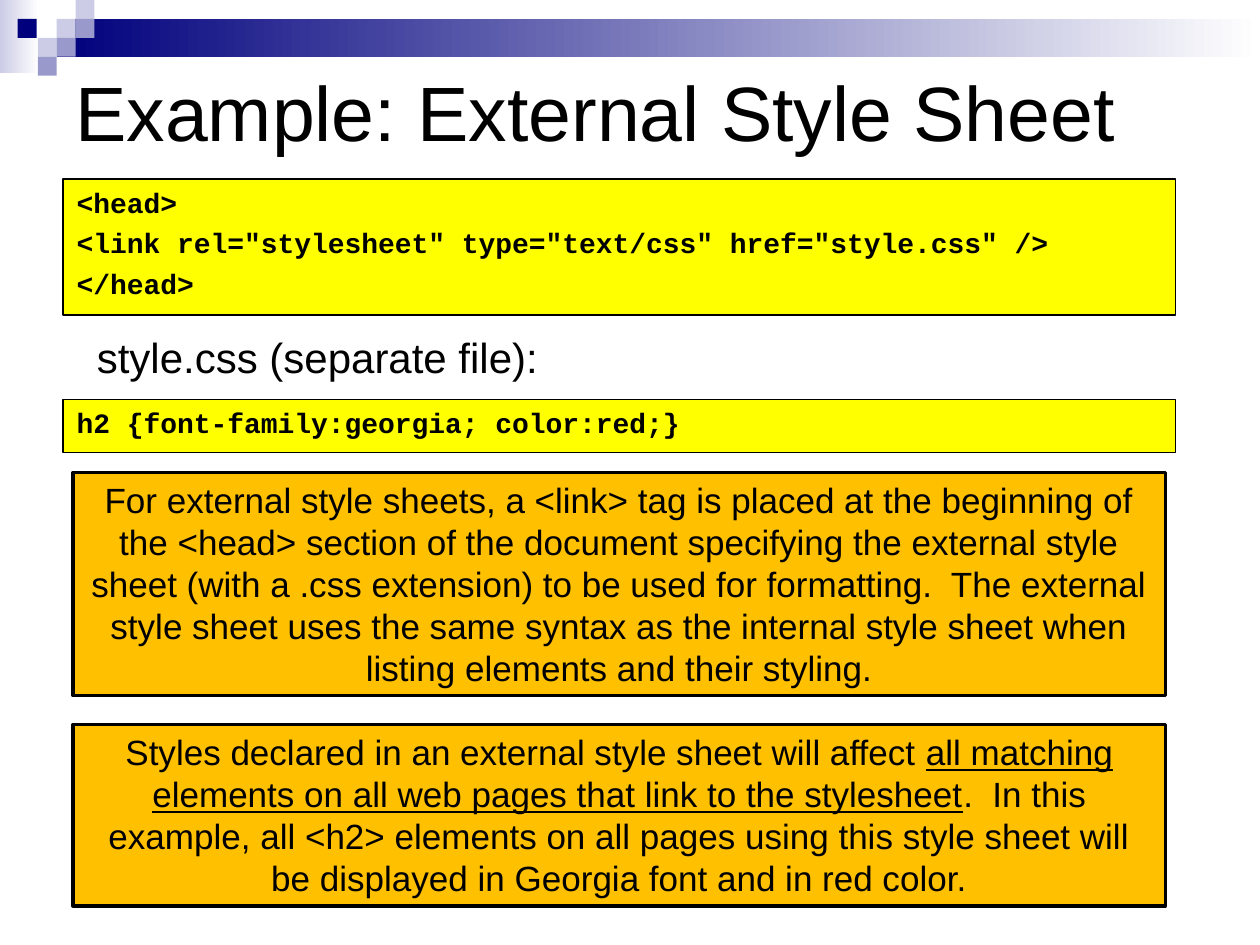
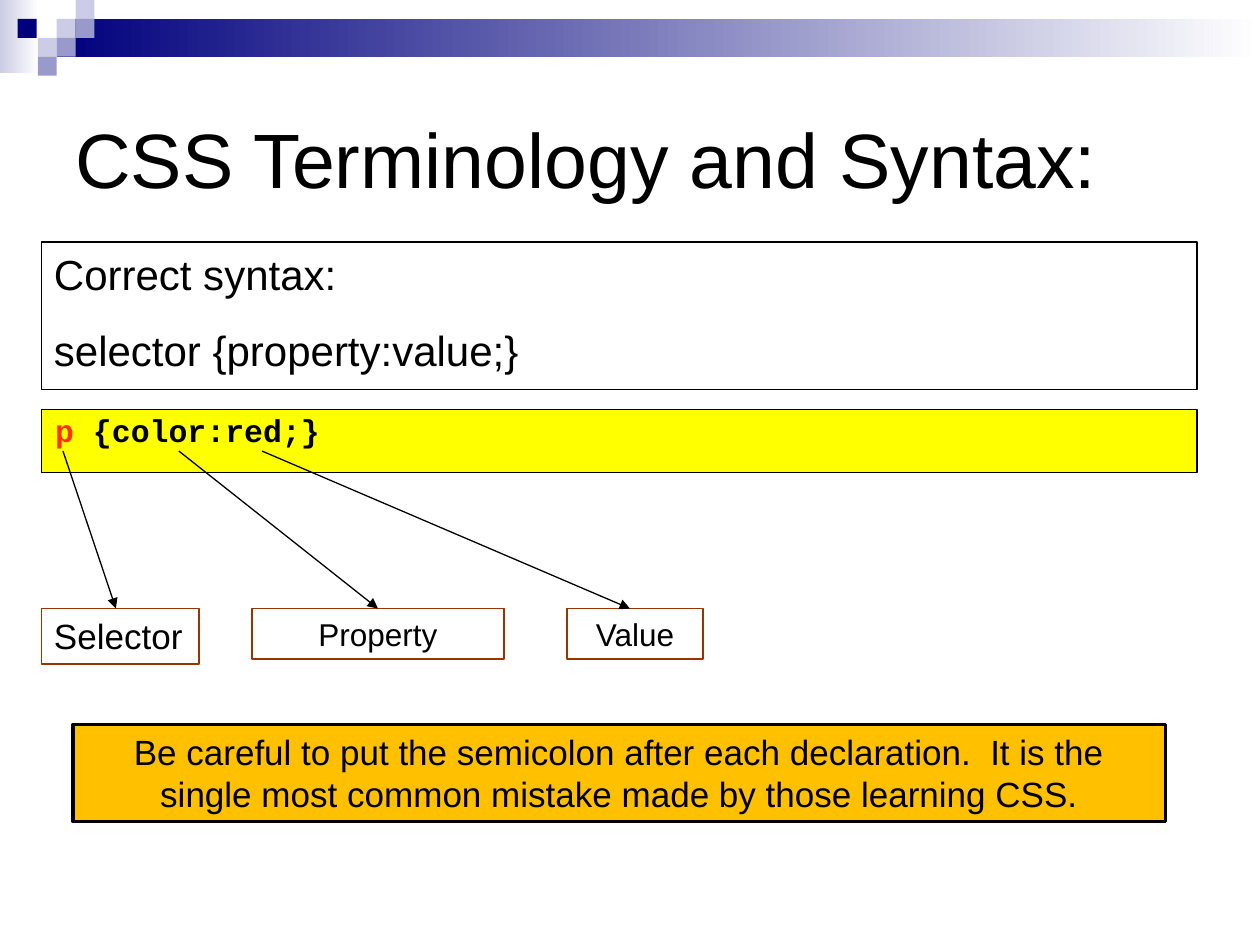
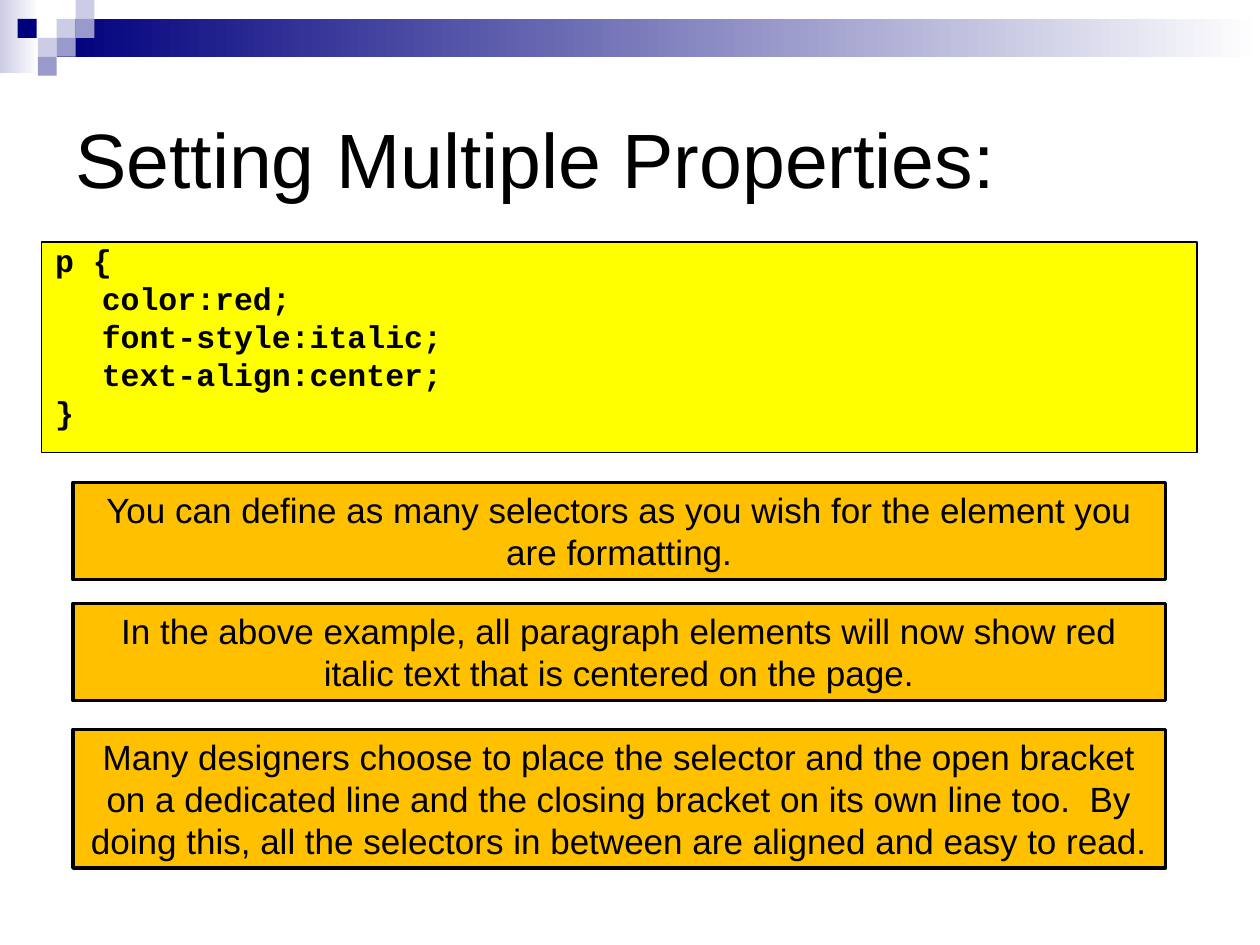
from lxml import etree
from pptx import Presentation
from pptx.dml.color import RGBColor
from pptx.enum.shapes import MSO_CONNECTOR, MSO_SHAPE
from pptx.enum.text import MSO_ANCHOR, MSO_AUTO_SIZE, PP_ALIGN
from pptx.oxml.ns import qn
from pptx.util import Inches, Pt

RECTANGLE = MSO_SHAPE.RECTANGLE
STRAIGHT = MSO_CONNECTOR.STRAIGHT
TOP, MIDDLE = MSO_ANCHOR.TOP, MSO_ANCHOR.MIDDLE
LEFT, CENTER = PP_ALIGN.LEFT, PP_ALIGN.CENTER
GROW = MSO_AUTO_SIZE.SHAPE_TO_FIT_TEXT
FIXED = MSO_AUTO_SIZE.NONE

BLACK = RGBColor(0x00, 0x00, 0x00)
WHITE = RGBColor(0xFF, 0xFF, 0xFF)
NAVY = RGBColor(0x00, 0x00, 0x7D)
LAVENDER = RGBColor(0xCC, 0xCC, 0xE6)
PERIWINKLE = RGBColor(0x99, 0x99, 0xCC)
YELLOW = RGBColor(0xFF, 0xFF, 0x00)
AMBER = RGBColor(0xFF, 0xC0, 0x00)
RUST = RGBColor(0x99, 0x33, 0x00)
SELECTOR_RED = RGBColor(0xFF, 0x33, 0x00)

# Left, top and colour of the small squares in the corner
TILE = 0.15
CORNER_TILES = [
    (0.45, 0.15, LAVENDER), (0.6, 0, LAVENDER), (0.6, 0.15, PERIWINKLE),
    (0.3, 0.3, LAVENDER), (0.14, 0.15, NAVY), (0.45, 0.3, PERIWINKLE),
    (0.3, 0.45, PERIWINKLE),
]


def apply(target, values):
    for name, value in values.items():
        setattr(target, name, value)


class Deck:
    """Holds the shared style and the slide being built."""

    def __init__(self):
        self.prs = Presentation()
        self.prs.slide_width, self.prs.slide_height = Inches(10), Inches(7.5)
        self.slide = None

    def new_slide(self, title, title_top=0.5, title_height=1.5):
        self.slide = self.prs.slides.add_slide(self.prs.slide_layouts[6])
        self.gradient(0, 0, 0.31, 0.58, LAVENDER)
        self.gradient(0.45, 0.15, 9.55, 0.3, NAVY)
        for left, top, color in CORNER_TILES:
            self.rect(left, top, TILE, TILE, fill=color)
        heading = self.slide.shapes.add_textbox(
            Inches(0.5), Inches(title_top), Inches(9), Inches(title_height))
        self.fill_text(heading, [title], size=44, anchor=MIDDLE)

    def rect(self, left, top, width, height, fill=None, line=None, weight=0.75):
        shape = self.slide.shapes.add_shape(
            RECTANGLE, Inches(left), Inches(top), Inches(width), Inches(height))
        shape.shadow.inherit = False
        if fill is None:
            shape.fill.background()
        else:
            shape.fill.solid()
            shape.fill.fore_color.rgb = fill
        if line is None:
            shape.line.fill.background()
        else:
            shape.line.color.rgb = line
            shape.line.width = Pt(weight)
        return shape

    def gradient(self, left, top, width, height, start):
        band = self.rect(left, top, width, height)
        band.fill.gradient()
        band.fill.gradient_angle = 0
        for stop, color in zip(band.fill.gradient_stops, (start, WHITE)):
            stop.color.rgb = color

    def fill_text(self, shape, lines, size, font="Arial", bold=False, align=LEFT,
                  before=0, spacing=1.0, hanging=False, anchor=TOP, auto_size=FIXED):
        """Each line is a string or a list of (text, font values) runs."""
        frame = shape.text_frame
        apply(frame, {"word_wrap": True, "vertical_anchor": anchor,
                      "auto_size": auto_size})
        for index, line in enumerate(lines):
            paragraph = frame.add_paragraph() if index else frame.paragraphs[0]
            apply(paragraph, {"alignment": align, "space_before": Pt(before),
                              "line_spacing": spacing})
            if hanging:
                properties = paragraph._p.get_or_add_pPr()
                properties.set("marL", str(Inches(0.38)))
                properties.set("indent", str(-Inches(0.37)))
            for text, extra in [(line, {})] if isinstance(line, str) else line:
                run = paragraph.add_run()
                run.text = text
                values = {"size": Pt(size), "name": font, "bold": bold, **extra}
                run.font.color.rgb = values.pop("color", BLACK)
                apply(run.font, values)

    def code(self, left, top, width, height, lines, size=18, before=4.5, spacing=1.0):
        box = self.rect(left, top, width, height, YELLOW, BLACK)
        self.fill_text(box, lines, size, "Courier New", bold=True, before=before,
                       spacing=spacing, hanging=True)

    def note(self, top, height, line):
        box = self.rect(0.58, top, 8.67, height, AMBER, BLACK, 2)
        self.fill_text(box, [line], 20, align=CENTER, auto_size=GROW)

    def label(self, left, width, height, text, size, align, before):
        box = self.rect(left, 4.83, width, height, line=RUST)
        self.fill_text(box, [text], size, align=align, before=before, auto_size=GROW)
        return box

    def arrow(self, start_x, end_x, target=None):
        arrow = self.slide.shapes.add_connector(
            STRAIGHT, Inches(start_x), Inches(3.58), Inches(end_x), Inches(4.83))
        if target is not None:
            arrow.end_connect(target, 0)
        arrow.line.color.rgb = BLACK
        arrow.line.width = Pt(0.75)
        etree.SubElement(arrow.line._get_or_add_ln(), qn("a:tailEnd"), type="triangle")
        etree.SubElement(arrow._element.spPr, qn("a:effectLst"))


def external_sheet(deck):
    deck.new_slide("Example: External Style Sheet", 0.42, 0.92)
    deck.code(0.5, 1.42, 8.83, 1.08, [
        "<head>",
        '<link rel="stylesheet" type="text/css" href="style.css" />',
        "</head>",
    ], size=16, before=4)
    file_name = deck.slide.shapes.add_textbox(
        Inches(0.67), Inches(2.58), Inches(4), Inches(0.5))
    deck.fill_text(file_name, ["style.css (separate file):"], 24, before=15,
                   auto_size=GROW)
    deck.code(0.5, 3.17, 8.83, 0.42, ["h2 {font-family:georgia; color:red;}"],
              size=16, before=4)
    deck.note(3.75, 1.77,
              "For external style sheets, a <link> tag is placed at the beginning of the "
              "<head> section of the document specifying the external style sheet (with a "
              ".css extension) to be used for formatting.  The external style sheet uses "
              "the same syntax as the internal style sheet when listing elements and "
              "their styling.")
    deck.note(5.75, 1.44, [
        ("Styles declared in an external style sheet will affect ", {}),
        ("all matching elements on all web pages that link to the stylesheet",
         {"underline": True}),
        (".  In this example, all <h2> elements on all pages using this style sheet "
         "will be displayed in Georgia font and in red color.", {}),
    ])


def terminology(deck):
    deck.new_slide("CSS Terminology and Syntax:")
    syntax = deck.rect(0.33, 1.92, 9.17, 1.17, line=BLACK)
    deck.fill_text(syntax, ["Correct syntax:", "selector {property:value;}"], 24,
                   before=15)
    deck.code(0.33, 3.25, 9.17, 0.5,
              [[("p", {"color": SELECTOR_RED}), (" {color:red;}", {})]], spacing=0.9)

    # Parts of the rule
    deck.label(0.33, 1.25, 0.44, "Selector", 20, LEFT, 12.5)
    property_box = deck.label(2, 2, 0.4, "Property", 18, CENTER, 11.2)
    deck.label(4.5, 1.08, 0.4, "Value", 18, CENTER, 11.2)
    deck.arrow(0.5, 0.92)
    deck.arrow(1.42, 3, property_box)
    deck.arrow(2.08, 5)

    deck.note(5.75, 0.77,
              "Be careful to put the semicolon after each declaration.  It is the single "
              "most common mistake made by those learning CSS.")


def multiple_properties(deck):
    deck.new_slide("Setting Multiple Properties:")
    deck.code(0.33, 1.92, 9.17, 1.67, [
        "p {", "\tcolor:red;", "\tfont-style:italic;", "\ttext-align:center;", "}",
    ], spacing=0.8)
    deck.note(3.83, 0.77,
              "You can define as many selectors as you wish for the element you are "
              "formatting.")
    deck.note(4.79, 0.77,
              "In the above example, all paragraph elements will now show red italic text "
              "that is centered on the page.")
    deck.note(5.79, 1.1,
              "Many designers choose to place the selector and the open bracket on a "
              "dedicated line and the closing bracket on its own line too.  By doing "
              "this, all the selectors in between are aligned and easy to read.")


def main():
    deck = Deck()
    for build in (external_sheet, terminology, multiple_properties):
        build(deck)
    deck.prs.save("out.pptx")


if __name__ == "__main__":
    main()
